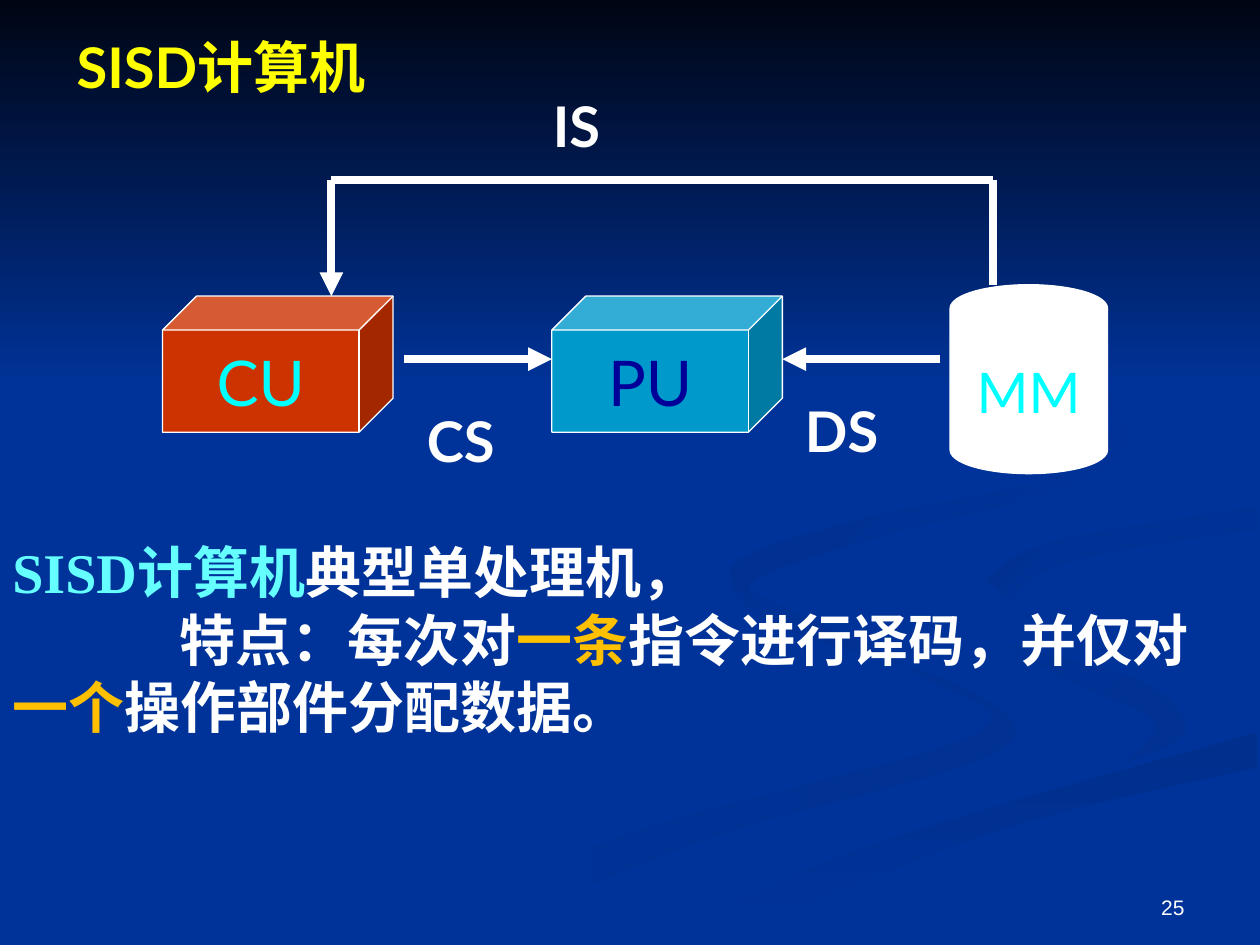
from dataclasses import dataclass

from lxml.etree import SubElement
from pptx import Presentation
from pptx.dml.color import RGBColor
from pptx.enum.shapes import MSO_CONNECTOR, MSO_SHAPE
from pptx.enum.text import MSO_ANCHOR, MSO_AUTO_SIZE, PP_ALIGN
from pptx.oxml.ns import qn
from pptx.util import Inches, Pt


@dataclass(frozen=True)
class Theme:
    base: str = "003399"
    sky: str = "000514"
    ribbon: str = "003193"
    ribbon_deep: str = "002F8D"
    ribbon_edge: str = "003091"
    white: str = "FFFFFF"
    yellow: str = "FFFF00"
    cyan: str = "00FFFF"
    pale_cyan: str = "66FFFF"
    amber: str = "FFC000"
    navy: str = "000099"
    red: str = "CC3300"
    blue: str = "0099CC"
    sans: str = "Lato"
    serif: str = "Times New Roman"
    plain: str = "Arial"
    small: int = 12
    medium: int = 32
    large: int = 36
    outline: float = 0.75
    wire: float = 4.5


THEME = Theme()

# Edges that two neighbouring ribbons share
LOWER_EDGE = [(9.98, 5.81), (6.96, 6.69), (5.03, 7.49)]
UPPER_EDGE = [(9.98, 4.02), (8.35, 4.3), (7.81, 4.6)]

# Background ribbons: smooth edges, first colour, last colour, clockwise angle
RIBBONS = [
    ([[(5.75, 4.59), (6.14, 4.96), (7.67, 5.47), (7.91, 5.97), (5.64, 6.65), (3.61, 7.49)],
      [(3, 7.49), (4.99, 6.61), (7.74, 5.83), (7.28, 5.35), (5.75, 4.59)]],
     THEME.base, THEME.ribbon, 0),
    ([[(7.24, 4.64), (7.74, 5.03), (9.05, 5.4), (9.41, 5.81), (8.94, 6.05)],
      [(8.94, 6.05), (9.15, 5.71), (8.38, 5.36), (7.24, 4.64)]],
     THEME.base, THEME.ribbon, 45),
    ([LOWER_EDGE, [(5.71, 7.49), (7.85, 6.61), (9.98, 6.09)]],
     THEME.ribbon_deep, THEME.base, 90),
    ([LOWER_EDGE,
      [(4.77, 7.49), (6.63, 6.68), (9.26, 5.93), (9.05, 5.4), (7.45, 4.9),
       (7.42, 4.39), (9.98, 3.87)],
      UPPER_EDGE, [(8.17, 4.92), (9.98, 5.38)]],
     THEME.base, THEME.base, 0),
    ([UPPER_EDGE, [(8.26, 4.96), (8.05, 4.72), (8.59, 4.43), (9.98, 4.2)]],
     THEME.ribbon_edge, THEME.base, 45),
    ([[(7.62, 2.33), (8.64, 2.91), (8.83, 3.7), (6.83, 4.3), (5.95, 4.65), (6.22, 5)],
      [(6.22, 5), (5.8, 4.51), (6.76, 4.14), (8.61, 3.7), (8.7, 2.99), (7.62, 2.33)]],
     THEME.ribbon_deep, THEME.base, 45),
]


def smooth(points, steps=6):
    """Catmull-Rom curve through the points."""
    padded = [points[0], *points, points[-1]]
    curve = [points[0]]
    for a, b, c, d in zip(padded, padded[1:], padded[2:], padded[3:]):
        for step in range(1, steps + 1):
            t = step / steps
            curve.append(tuple(
                q + t / 2 * (r - p + t * (2 * p - 5 * q + 4 * r - s
                                          + t * (3 * (q - r) + s - p)))
                for p, q, r, s in zip(a, b, c, d)))
    return curve


def add_run(paragraph, text, *, color, font=THEME.sans, size=THEME.medium, bold=False):
    run = paragraph.add_run()
    run.text = text
    run.font.name, run.font.size, run.font.bold = font, Pt(size), bold
    run.font.color.rgb = RGBColor.from_string(color)


class SlideBuilder:
    def __init__(self, slide, theme):
        self.slide, self.shapes, self.theme = slide, slide.shapes, theme

    def background(self):
        fill = self.slide.background.fill
        fill.solid()
        fill.fore_color.rgb = RGBColor.from_string(self.theme.base)

    def gradient(self, area, first, last, angle):
        area.shadow.inherit = False
        area.line.fill.background()
        area.fill.gradient()
        area.fill.gradient_angle = 360 - angle
        for stop, color in zip(area.fill.gradient_stops, (first, last)):
            stop.color.rgb = RGBColor.from_string(color)

    def ribbon(self, edges, *colors):
        start, *rest = [(Inches(x), Inches(y)) for edge in edges for x, y in smooth(edge)]
        outline = self.shapes.build_freeform(*start)
        outline.add_line_segments(rest, close=True)
        self.gradient(outline.convert_to_shape(), *colors)

    def sky(self, box):
        area = self.shapes.add_shape(MSO_SHAPE.RECTANGLE, *map(Inches, box))
        self.gradient(area, self.theme.sky, self.theme.base, 90)

    def unit(self, kind, box, label, adjust, fill, **style):
        body = self.shapes.add_shape(kind, *map(Inches, box))
        body.shadow.inherit = False
        body.adjustments[0] = adjust
        body.fill.solid()
        body.fill.fore_color.rgb = RGBColor.from_string(fill)
        body.line.color.rgb = RGBColor.from_string(self.theme.white)
        body.line.width = Pt(self.theme.outline)
        frame = body.text_frame
        frame.word_wrap, frame.vertical_anchor = False, MSO_ANCHOR.MIDDLE
        frame.paragraphs[0].alignment = PP_ALIGN.CENTER
        add_run(frame.paragraphs[0], label, **style)

    def wire(self, start, end, arrow=True):
        line = self.shapes.add_connector(
            MSO_CONNECTOR.STRAIGHT, *map(Inches, (*start, *end)))
        line.line.color.rgb = RGBColor.from_string(self.theme.white)
        line.line.width = Pt(self.theme.wire)
        properties = line._element.spPr
        if arrow:
            SubElement(properties.find(qn("a:ln")), qn("a:tailEnd"), type="triangle")
        SubElement(properties, qn("a:effectLst"))

    def text(self, box, *paragraphs, align=PP_ALIGN.LEFT, anchor=MSO_ANCHOR.TOP):
        """Each paragraph is (first-line indent, [(text, format), ...])."""
        frame = self.shapes.add_textbox(*map(Inches, box)).text_frame
        frame.word_wrap, frame.vertical_anchor = True, anchor
        frame.auto_size = MSO_AUTO_SIZE.NONE
        for index, (indent, runs) in enumerate(paragraphs):
            paragraph = frame.add_paragraph() if index else frame.paragraphs[0]
            paragraph.alignment = align
            if indent:
                paragraph._p.get_or_add_pPr().set("indent", str(Inches(indent)))
            for text, style in runs:
                add_run(paragraph, text, **style)


def main():
    deck = Presentation()
    deck.slide_width, deck.slide_height = Inches(10), Inches(7.5)
    page = SlideBuilder(deck.slides.add_slide(deck.slide_layouts[6]), THEME)

    # Background
    page.background()
    for ribbon in RIBBONS:
        page.ribbon(*ribbon)
    page.sky((0, 0, 10, 3.08))

    # Slide number
    number = dict(color=THEME.white, font=THEME.plain, size=THEME.small)
    page.text((7.17, 6.83, 2.33, 0.52), (0, [("25", number)]),
              align=PP_ALIGN.RIGHT, anchor=MSO_ANCHOR.BOTTOM)

    # Control and processing units
    for left, label, fill, color in [(1.29, "CU", THEME.red, THEME.cyan),
                                     (4.38, "PU", THEME.blue, THEME.navy)]:
        page.unit(MSO_SHAPE.CUBE, (left, 2.35, 1.83, 1.08), label, 0.25, fill,
                  color=color, size=THEME.large)

    # Instruction stream, control stream, data stream
    route = [(7.88, 2.26), (7.88, 1.43), (2.63, 1.43), (2.63, 2.35)]
    for start, end in zip(route, route[1:]):
        page.wire(start, end, arrow=end == route[-1])
    page.wire((3.21, 2.85), (4.38, 2.85))
    page.wire((7.46, 2.85), (6.21, 2.85))

    # Title and stream labels
    for left, top, width, label, color in [
            (4.29, 0.68, 1.5, "IS", THEME.white),
            (3.29, 3.18, 1, "CS", THEME.white),
            (6.29, 3.1, 1.08, "DS", THEME.white),
            (0.51, 0.21, 2.99, "SISD计算机", THEME.yellow)]:
        page.text((left, top, width, 0.63), (0, [(label, dict(color=color, bold=True))]))

    # Main memory
    page.unit(MSO_SHAPE.CAN, (7.54, 2.26, 1.25, 1.5), "MM", 0.3, THEME.white,
              color=THEME.cyan)

    # Description
    term, normal, accent = [dict(color=color, font=THEME.serif, bold=True)
                            for color in (THEME.pale_cyan, THEME.white, THEME.amber)]
    page.text((0, 4.22, 9.57, 1.7),
              (0, [("SISD计算机", term), ("典型单处理机，", normal)]),
              (1.33, [("特点：每次对", normal), ("一条", accent),
                      ("指令进行译码，并仅对", normal), ("一个", accent),
                      ("操作部件分配数据。", normal)]))

    deck.save("out.pptx")


if __name__ == "__main__":
    main()
